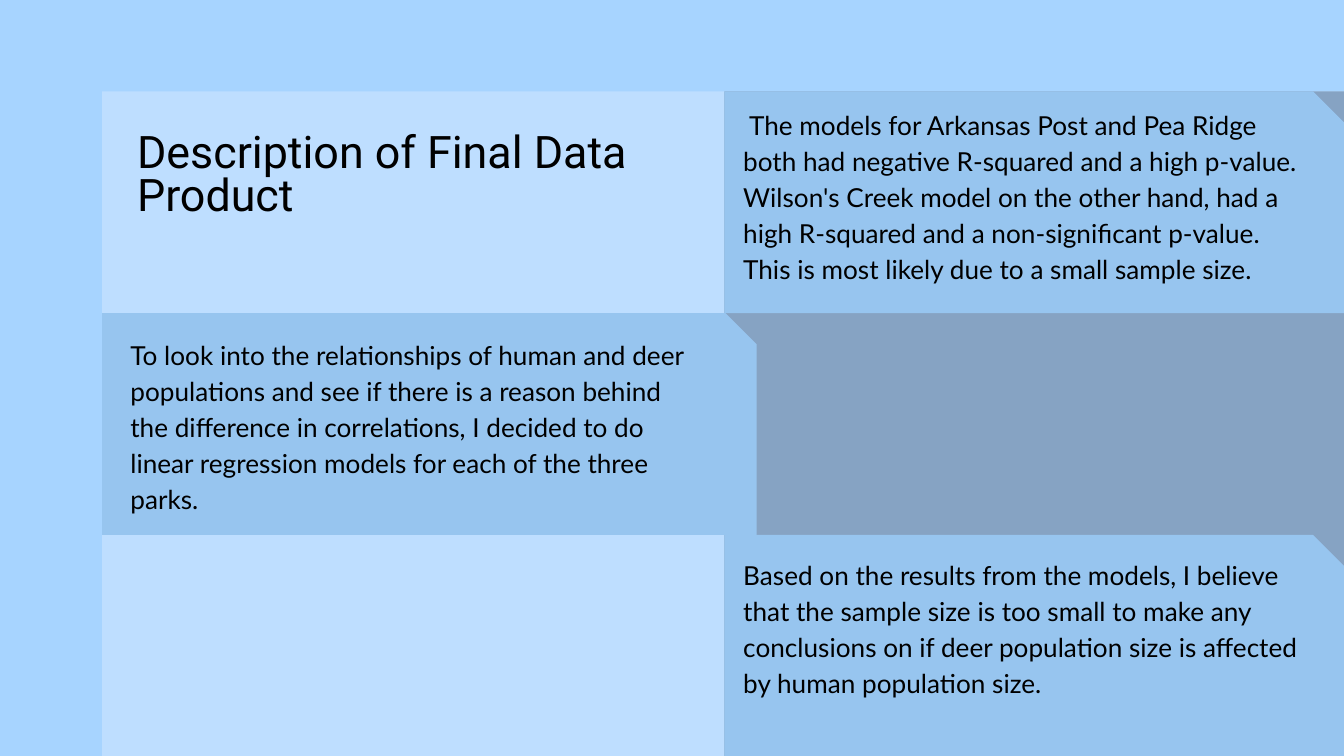
"""Build the slide describing the final data product."""
from pptx import Presentation
from pptx.dml.color import RGBColor
from pptx.enum import shapes, text
from pptx.util import Inches, Pt

TITLE = "Description of Final Data Product"
MODELS = (
    " The models for Arkansas Post and Pea Ridge both had negative R-squared "
    "and a high p-value. Wilson's Creek model on the other hand, had a high "
    "R-squared and a non-significant p-value. This is most likely due to a "
    "small sample size."
)
METHOD = (
    "To look into the relationships of human and deer populations and see if "
    "there is a reason behind the difference in correlations, I decided to do "
    "linear regression models for each of the three parks."
)
CONCLUSION = (
    "Based on the results from the models, I believe that the sample size is "
    "too small to make any conclusions on if deer population size is affected "
    "by human population size."
)

WIDTH, HEIGHT = 10, 5.625
LEFT, MIDDLE, TOP, ROW = 0.76, 5.39, 0.68, 1.65
BACKGROUND, LIGHT, DARK, CARD, INK = "A7D4FF", "BEDEFF", "86A3C3", "97C5EF", "000000"
CARDS = [(MIDDLE, WIDTH - MIDDLE), (LEFT, 4.87), (MIDDLE, WIDTH - MIDDLE)]
TEXTS = [
    (TITLE, (1.02, 1, 3.97, 1.18), "Roboto", 24, 0.8),
    (METHOD, (0.97, 2.49, 4.32, 1.33), "Lato", 14, 1.15),
    (CONCLUSION, (5.53, 4.13, 4.32, 1.33), "Lato", 14, 1.15),
    (MODELS, (5.53, 0.78, 4.23, 1.39), "Lato", 14, 1.15),
]


def paint(fill, color):
    fill.solid()
    fill.fore_color.rgb = RGBColor.from_string(color)


def add_block(s, kind, box, color):
    sp = s.shapes.add_shape(kind, *map(Inches, box))
    sp.shadow.inherit = False
    sp.line.fill.background()
    paint(sp.fill, color)
    return sp


def add_text(s, words, box, font, size, spacing):
    tf = s.shapes.add_textbox(*map(Inches, box)).text_frame
    tf.word_wrap = True
    tf.auto_size = text.MSO_AUTO_SIZE.NONE
    tf.vertical_anchor = text.MSO_ANCHOR.TOP
    tf.margin_left = tf.margin_top = tf.margin_bottom = 0
    tf.margin_right = Inches(0.1)
    tf.text = words
    p = tf.paragraphs[0]
    p.line_spacing = spacing
    r = p.runs[0]
    r.font.name = font
    r.font.size = Pt(size)
    paint(r.font.fill, INK)


def main():
    prs = Presentation()
    prs.slide_width, prs.slide_height = Inches(WIDTH), Inches(HEIGHT)
    s = prs.slides.add_slide(prs.slide_layouts[6])
    paint(s.background.fill, BACKGROUND)
    for left, color in [(LEFT, LIGHT), (MIDDLE, DARK)]:
        box = (left, TOP, WIDTH - left, HEIGHT - TOP)
        add_block(s, shapes.MSO_SHAPE.RECTANGLE, box, color)
    for row, (left, width) in enumerate(CARDS):
        box = (left, TOP + row * ROW, width, ROW)
        sp = add_block(s, shapes.MSO_SHAPE.SNIP_1_RECTANGLE, box, CARD)
        sp.adjustments[0] = 0.14
    for item in TEXTS:
        add_text(s, *item)
    prs.save("out.pptx")


if __name__ == "__main__":
    main()
